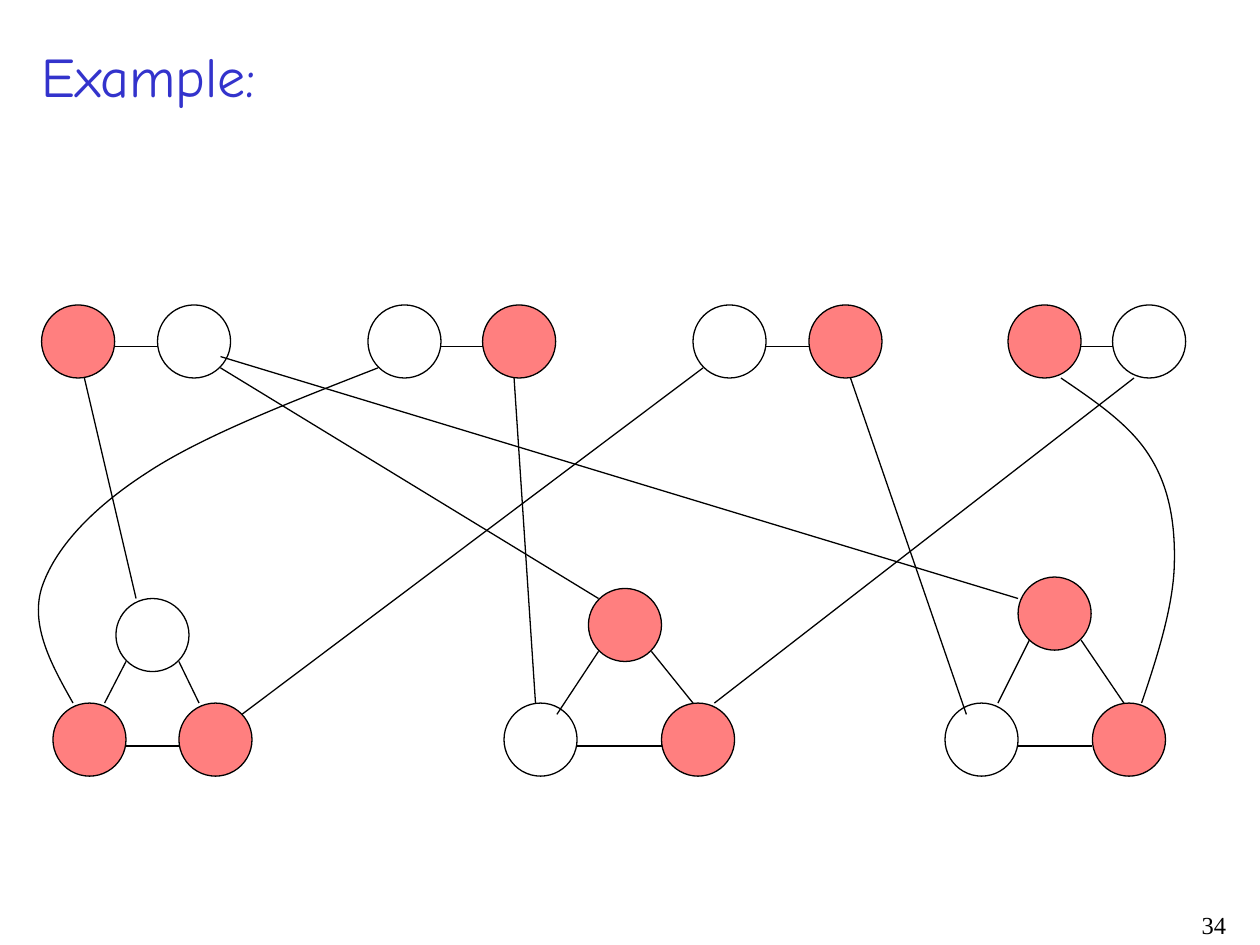
from lxml import etree
from pptx import Presentation
from pptx.dml.color import RGBColor
from pptx.enum import shapes as kinds, text as txt
from pptx.oxml import ns
from pptx.util import Inches, Pt

RED = RGBColor(0xFF, 0x00, 0x00)
BLACK = RGBColor(0x00, 0x00, 0x00)
BLUE = RGBColor(0x33, 0x33, 0xCC)
SIZE = 0.58

PAIRS = [(0.33, 0.92, True), (2.92, 0.91, False),
         (5.5, 0.92, False), (8, 0.83, True)]

TRIOS = [
    (0.42, 4.75, [(0.5, 0, False), (0, 0.83, True), (1, 0.83, True)],
     [(0.58, 0.5, 0.41, 0.83), (1, 0.5, 1.16, 0.83), (0.58, 1.17, 1, 1.17)]),
    (4, 4.67, [(0.67, 0, True), (0, 0.91, False), (1.25, 0.91, True)],
     [(0.75, 0.5, 0.42, 1), (1.17, 0.5, 1.5, 0.91), (0.58, 1.25, 1.25, 1.25)]),
    (7.5, 4.58, [(0.58, 0, True), (0, 1, False), (1.17, 1, True)],
     [(0.67, 0.5, 0.42, 1), (1.08, 0.5, 1.42, 1), (0.58, 1.34, 1.17, 1.34)]),
]

LINKS = [(0.67, 3, 1.08, 4.75), (1.92, 5.67, 5.58, 2.92),
         (1.75, 2.92, 4.75, 4.75), (4.08, 3, 4.25, 5.58),
         (5.67, 5.58, 9, 3), (1.75, 2.83, 8.08, 4.75),
         (6.75, 3, 7.67, 5.67)]

CURVES = [
    [(0.58, 5.58), (0.41, 5.28), (0.24, 4.97), (0.33, 4.67), (0.43, 4.36),
     (0.72, 4.04), (1.17, 3.75), (1.61, 3.46), (2.31, 3.19), (3, 2.92)],
    [(9.06, 5.58), (9.19, 5.2), (9.31, 4.81), (9.32, 4.49), (9.33, 4.16),
     (9.28, 3.87), (9.13, 3.63), (8.98, 3.38), (8.7, 3.19), (8.42, 3)],
]


def stroke(item):
    """Give a shape or connector the thin black line."""
    item.line.color.rgb = BLACK
    item.line.width = Pt(0.75)


def node(slide, x, y, chosen):
    """Draw one graph node, half-transparent red when chosen."""
    dot = slide.shapes.add_shape(kinds.MSO_SHAPE.OVAL, Inches(x), Inches(y),
                                 Inches(SIZE), Inches(SIZE))
    dot.shadow.inherit = False
    stroke(dot)
    if not chosen:
        dot.fill.background()
        return
    dot.fill.solid()
    dot.fill.fore_color.rgb = RED
    tint = dot._element.spPr.find(ns.qn("a:solidFill"))[0]
    etree.SubElement(tint, ns.qn("a:alpha"), val="50000")


def edge(slide, x, y, ends):
    """Draw a straight edge whose ends are relative to x, y."""
    ax, ay, bx, by = ends
    line = slide.shapes.add_connector(
        kinds.MSO_CONNECTOR.STRAIGHT, Inches(x + ax), Inches(y + ay),
        Inches(x + bx), Inches(y + by))
    stroke(line)
    etree.SubElement(line._element.spPr, ns.qn("a:effectLst"))


def curve(slide, points):
    """Draw a Bezier edge from a start point and triples of points."""
    spots = [(Inches(x), Inches(y)) for x, y in points]
    pen = slide.shapes.build_freeform(*spots[0])
    pen.add_line_segments(spots[1:], close=False)
    bow = pen.convert_to_shape()
    bow.shadow.inherit = False
    bow.fill.background()
    stroke(bow)
    steps = list(bow._element.iter(ns.qn("a:lnTo")))
    for i in range(0, len(steps), 3):
        bend = etree.Element(ns.qn("a:cubicBezTo"))
        steps[i].addprevious(bend)
        for step in steps[i:i + 3]:
            bend.append(step[0])
            step.getparent().remove(step)


def pair(slide, x, y, gap, first):
    """Draw a variable pair with one chosen node."""
    node(slide, x, y, first)
    node(slide, x + gap, y, not first)
    edge(slide, x, y, (SIZE, 0.33, gap, 0.33))


def trio(slide, x, y, nodes, edges):
    """Draw a clause triangle."""
    for dx, dy, chosen in nodes:
        node(slide, x + dx, y + dy, chosen)
    for ends in edges:
        edge(slide, x, y, ends)


def label(slide, box, words, font, size, color, align, wrap):
    """Write one line of text in a box."""
    frame = slide.shapes.add_textbox(*map(Inches, box)).text_frame
    frame.word_wrap = wrap
    frame.text = words
    para = frame.paragraphs[0]
    para.alignment = align
    face = para.runs[0].font
    face.name, face.size = font, Pt(size)
    face.color.rgb = color


def main():
    """Build and save the slide."""
    deck = Presentation()
    deck.slide_width, deck.slide_height = Inches(10), Inches(7.5)
    slide = deck.slides.add_slide(deck.slide_layouts[6])
    label(slide, (7.75, 7.17, 2.08, 0.33), "34", "Times New Roman", 14,
          BLACK, txt.PP_ALIGN.RIGHT, True)
    label(slide, (0.23, 0.28, 2.05, 0.63), "Example:", "Comic Neue", 32,
          BLUE, txt.PP_ALIGN.LEFT, False)
    for x, gap, first in PAIRS:
        pair(slide, x, 2.42, gap, first)
    for group in TRIOS:
        trio(slide, *group)
    for ends in LINKS:
        edge(slide, 0, 0, ends)
    for points in CURVES:
        curve(slide, points)
    deck.save("out.pptx")


if __name__ == "__main__":
    main()
